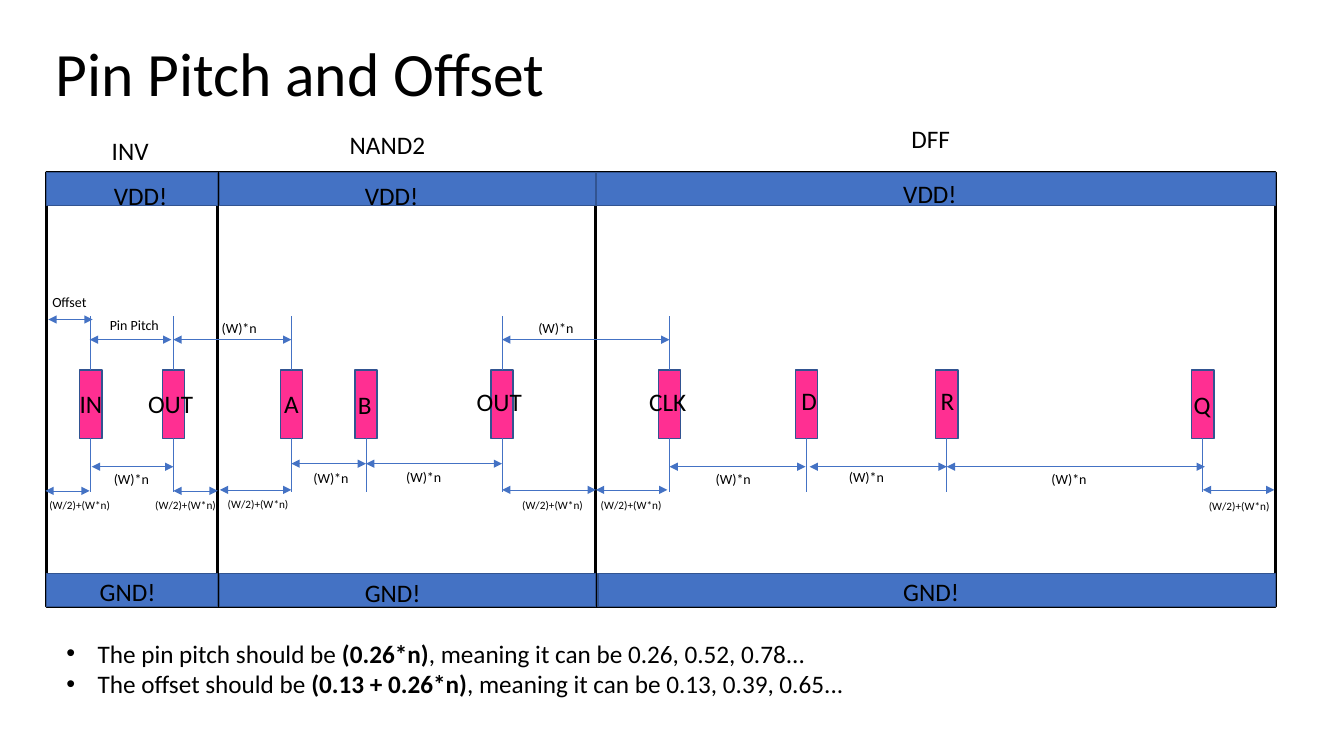
from collections import namedtuple
from lxml import etree
from pptx import Presentation
from pptx.dml.color import RGBColor
from pptx.enum.shapes import MSO_CONNECTOR as Conn, MSO_SHAPE as Shape
from pptx.enum.text import MSO_ANCHOR as Anchor
from pptx.oxml.ns import qn
from pptx.util import Inches, Pt

TITLE = "Pin Pitch and Offset"
NOTES = [
    ("The pin pitch should be ", "(0.26*n)", ", meaning it can be 0.26, 0.52, 0.78..."),
    ("The offset should be ", "(0.13 + 0.26*n)", ", meaning it can be 0.13, 0.39, 0.65..."),
]
EDGES = [0.46, 2.16, 5.91, 12.65]  # borders between the cells
# cell name, then (left, top) of its name, of VDD! and of GND!, then rail lefts
CELLS = [
    ("INV", (1.01, 1.29), (1.03, 1.74), (0.89, 5.67), (0.46, 0.46)),
    ("NAND2", (3.37, 1.23), (3.52, 1.74), (3.52, 5.68), (2.18, 2.18)),
    ("DFF", (8.94, 1.17), (8.86, 1.72), (8.86, 5.67), (5.91, 5.93)),
]
# pin name, centre, (left, top) of its name, has a guide above
PINS = [
    ("IN", 0.9, (0.69, 3.8), True),
    ("OUT", 1.72, (1.37, 3.8), True),
    ("A", 2.89, (2.72, 3.8), True),
    ("B", 3.63, (3.45, 3.81), False),
    ("OUT", 4.98, (4.63, 3.78), True),
    ("CLK", 6.64, (6.34, 3.78), True),
    ("D", 8, (7.85, 3.77), False),
    ("R", 9.39, (9.23, 3.77), False),
    ("Q", 11.93, (11.74, 3.81), False),
]
PITCH, MARGIN = "(W)*n", "(W/2)+(W*n)"
# height of the arrow, its ends, its label, left and top of the label
SPANS = [
    (3.17, 0.48, 0.92, "Offset", 0.42, 2.86),
    (3.37, 0.89, 1.7, "Pin Pitch", 0.99, 3.09),
    (3.37, 1.72, 2.89, PITCH, 2.1, 3.12),
    (3.37, 4.98, 6.64, PITCH, 5.24, 3.12),
    (4.63, 0.91, 1.72, PITCH, 1.03, 4.62),
    (4.6, 2.89, 3.63, PITCH, 3.01, 4.61),
    (4.6, 3.63, 4.98, PITCH, 3.93, 4.6),
    (4.63, 6.64, 7.99, PITCH, 7, 4.62),
    (4.63, 8.03, 9.39, PITCH, 8.32, 4.6),
    (4.63, 9.39, 11.95, PITCH, 10.33, 4.62),
    (4.87, 0.45, 0.89, MARGIN, 0.39, 4.89),
    (4.87, 1.72, 2.16, MARGIN, 1.44, 4.89),
    (4.86, 2.18, 2.89, MARGIN, 2.16, 4.88),
    (4.86, 4.98, 5.91, MARGIN, 5.08, 4.89),
    (4.86, 5.91, 6.62, MARGIN, 5.86, 4.89),
    (4.86, 11.93, 12.64, MARGIN, 11.89, 4.9),
]

Theme = namedtuple("Theme", "font ink paper rail edge pin title body small tiny")
T = Theme("Calibri", "000000", "FFFFFF", "4472C4", "325491", "FF2F92", 44, 18, 10, 8)
TOP, HIGH, RAIL = 1.71, 4.31, 0.33
PIN_TOP, PIN_W, PIN_H = 3.67, 0.22, 0.68
STEM_TOP, STEM_END = 3.14, 4.88

deck = Presentation()
deck.slide_width, deck.slide_height = Inches(13.33), Inches(7.5)
slide = deck.slides.add_slide(deck.slide_layouts[6])
shapes = slide.shapes


def rect(x, y, w, h, fill, line, weight):
    box = shapes.add_shape(Shape.RECTANGLE, *map(Inches, (x, y, w, h)))
    box.shadow.inherit = False
    box.fill.solid()
    box.fill.fore_color.rgb = RGBColor.from_string(fill)
    box.line.color.rgb = RGBColor.from_string(line)
    box.line.width = Pt(weight)
    return box


def style(run, size, bold=False):
    font = run.font
    font.name, font.size, font.bold = T.font, Pt(size), bold
    font.color.rgb = RGBColor.from_string(T.ink)


def label(text, x, y, size, w=0.95, h=0.4):
    frame = shapes.add_textbox(*map(Inches, (x, y, w, h))).text_frame
    frame.word_wrap = True
    frame.text = text
    style(frame.paragraphs[0].runs[0], size)
    return frame


def line(x1, y1, x2, y2, arrows=False):
    link = shapes.add_connector(Conn.STRAIGHT, *map(Inches, (x1, y1, x2, y2)))
    link.line.color.rgb = RGBColor.from_string(T.rail)
    link.line.width = Pt(0.5)
    if arrows:
        for end in ("a:headEnd", "a:tailEnd"):
            etree.SubElement(link.line._get_or_add_ln(), qn(end), type="triangle")
    etree.SubElement(link._element.spPr, qn("a:effectLst"))
    return link


def bullet(para, parts):
    for i, part in enumerate(parts):
        run = para.add_run()
        run.text = part
        style(run, T.body, bold=i == 1)
    props = para._p.get_or_add_pPr()
    props.set("marL", str(Inches(0.31)))
    props.set("indent", str(-Inches(0.31)))
    etree.SubElement(props, qn("a:buFont"), typeface="Arial")
    etree.SubElement(props, qn("a:buChar"), char="•")


head = label(TITLE, 0.45, 0.03, T.title, 11.5, 1.45)
head.vertical_anchor = Anchor.MIDDLE
head.paragraphs[0].line_spacing = 0.9

for left, right in zip(EDGES, EDGES[1:]):
    rect(left, TOP, right - left, HIGH, T.paper, T.ink, 2.25)

for (name, spot, vdd, gnd, lefts), right in zip(CELLS, EDGES[1:]):
    label(name, *spot, T.body, 1.29)
    rails = zip(("VDD!", "GND!"), (vdd, gnd), lefts, (TOP, TOP + HIGH - RAIL))
    for text, place, left, y in rails:
        rect(left, y, right - left, RAIL, T.rail, T.edge, 1)
        label(text, *place, T.body)

for name, mid, spot, above in PINS:
    pin = rect(mid - PIN_W / 2, PIN_TOP, PIN_W, PIN_H, T.pin, T.edge, 1)
    label(name, *spot, T.body)
    line(mid, PIN_TOP + PIN_H, mid, STEM_END).begin_connect(pin, 2)
    if above:
        line(mid, STEM_TOP, mid, PIN_TOP).end_connect(pin, 0)

for y, start, stop, text, x, top in SPANS:
    line(start, y, stop, y, arrows=True)
    label(text, x, top, T.tiny if text == MARGIN else T.small, h=0.27)

notes = shapes.add_textbox(*map(Inches, (0.56, 6.28, 8.95, 1.01))).text_frame
notes.word_wrap = True
for i, parts in enumerate(NOTES):
    bullet(notes.add_paragraph() if i else notes.paragraphs[0], parts)

deck.save("out.pptx")
